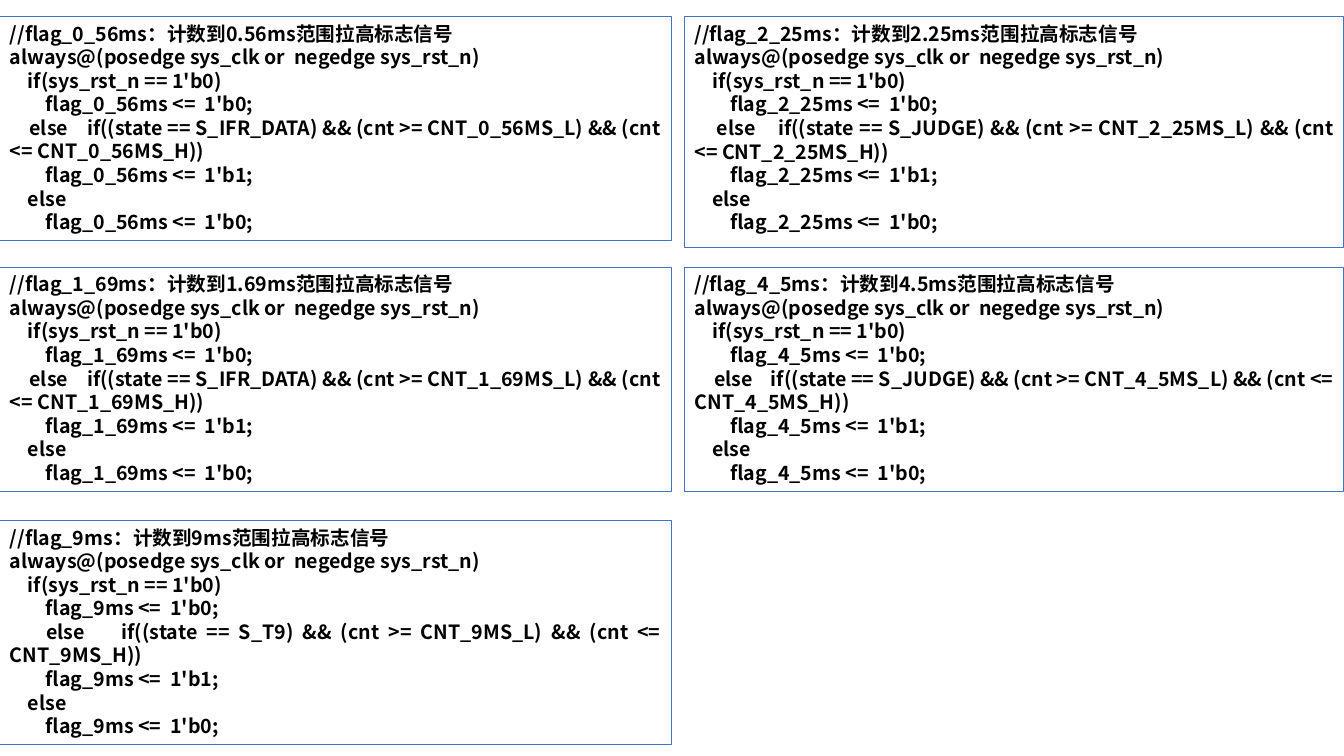
from dataclasses import dataclass

from lxml import etree
from pptx import Presentation
from pptx.dml.color import RGBColor
from pptx.enum.shapes import MSO_SHAPE
from pptx.enum.text import MSO_ANCHOR, MSO_AUTO_SIZE, PP_ALIGN
from pptx.oxml.ns import qn
from pptx.slide import Slide
from pptx.text.text import TextFrame
from pptx.util import Pt

RECTANGLE = MSO_SHAPE.RECTANGLE
TOP = MSO_ANCHOR.TOP
GROW = MSO_AUTO_SIZE.SHAPE_TO_FIT_TEXT
JUSTIFY = PP_ALIGN.JUSTIFY

BLUE = RGBColor(0x44, 0x72, 0xC4)
BLACK = RGBColor(0x00, 0x00, 0x00)
FONT = "Noto Sans CJK SC"

LEFT_COLUMN, RIGHT_COLUMN = 0, 489
LEFT_WIDTH, RIGHT_WIDTH = 479.5, 471
ROWS = (12, 191, 372)
BOX_HEIGHT = 160
STEP = 12.8  # one level of code indentation


@dataclass(frozen=True)
class FlagBlock:
    duration: str
    state: str
    left: float
    top: float
    width: float
    height: float = BOX_HEIGHT
    else_if_indent: float = 14  # justified line, so its indent is stretched


BLOCKS = (
    FlagBlock("0.56", "S_IFR_DATA", LEFT_COLUMN, ROWS[0], LEFT_WIDTH),
    FlagBlock("1.69", "S_IFR_DATA", LEFT_COLUMN, ROWS[1], LEFT_WIDTH),
    FlagBlock("2.25", "S_JUDGE", RIGHT_COLUMN, ROWS[0], RIGHT_WIDTH, 165, 16),
    FlagBlock("9", "S_T9", LEFT_COLUMN, ROWS[2], LEFT_WIDTH, else_if_indent=26),
    FlagBlock("4.5", "S_JUDGE", RIGHT_COLUMN, ROWS[1], RIGHT_WIDTH),
)


def code_lines(block: FlagBlock) -> list[tuple[float, str]]:
    """Return the indent and text of each line of the Verilog process."""
    suffix = block.duration.replace(".", "_")
    flag = f"flag_{suffix}ms"
    limit = f"CNT_{suffix}MS"
    return [
        (0, f"//{flag}：计数到{block.duration}ms范围拉高标志信号"),
        (0, "always@(posedge sys_clk or  negedge sys_rst_n)"),
        (STEP, "if(sys_rst_n == 1'b0)"),
        (2 * STEP, f"{flag} <=  1'b0;"),
        (block.else_if_indent,
         f"else    if((state == {block.state}) && "
         f"(cnt >= {limit}_L) && (cnt <= {limit}_H))"),
        (2 * STEP, f"{flag} <=  1'b1;"),
        (STEP, "else"),
        (2 * STEP, f"{flag} <=  1'b0;"),
    ]


def write_code(frame: TextFrame, lines: list[tuple[float, str]]) -> None:
    for index, (indent, text) in enumerate(lines):
        para = frame.paragraphs[0] if index == 0 else frame.add_paragraph()
        para.text = text
        para.alignment = JUSTIFY
        para.line_spacing = Pt(16.8)
        para.font.name = FONT
        para.font.size = Pt(14)
        para.font.bold = True
        para.font.color.rgb = BLACK
        properties = para._p.get_or_add_pPr()
        properties.set("marL", "0")
        properties.set("indent", str(Pt(indent)))
        etree.SubElement(properties.find(qn("a:defRPr")), qn("a:ea"), typeface=FONT)


def add_flag_block(page: Slide, block: FlagBlock) -> None:
    box = page.shapes.add_shape(
        RECTANGLE, Pt(block.left), Pt(block.top), Pt(block.width), Pt(block.height)
    )
    box.shadow.inherit = False
    box.fill.background()
    box.line.color.rgb = BLUE
    box.line.width = Pt(0.75)
    frame = box.text_frame
    frame.word_wrap = True
    frame.auto_size = GROW
    frame.vertical_anchor = TOP
    write_code(frame, code_lines(block))


def main() -> None:
    deck = Presentation()
    deck.slide_width, deck.slide_height = Pt(960), Pt(540)
    page = deck.slides.add_slide(deck.slide_layouts[6])
    for block in BLOCKS:
        add_flag_block(page, block)
    deck.save("out.pptx")


if __name__ == "__main__":
    main()
